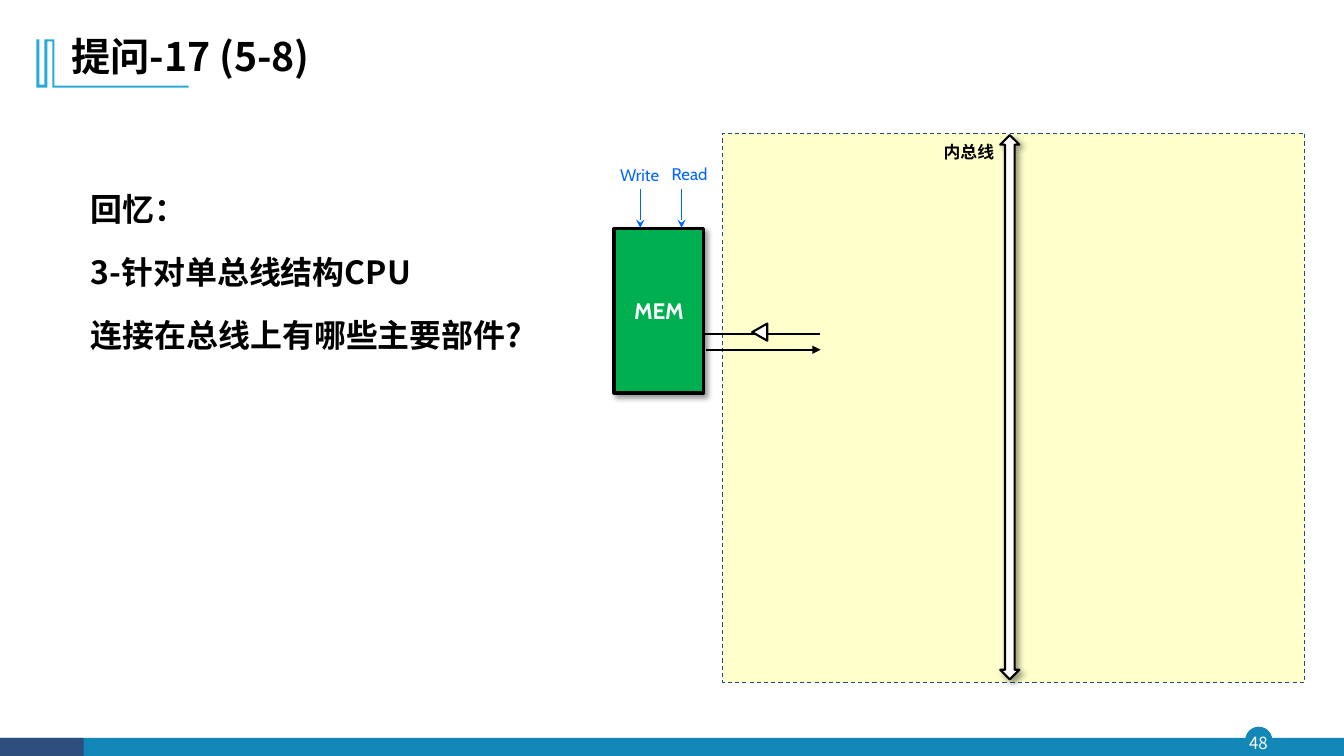
import pptx
import pptx.util
import pptx.dml.color
import pptx.enum.dml
import pptx.enum.shapes
import pptx.enum.text
import pptx.oxml
import pptx.oxml.ns
import lxml.etree

COLUMNS, ROWS = 1333, 750
CELL = pptx.util.Inches(0.01)
CJK, LATIN = "Noto Sans CJK SC", "Cabin"
BLACK, WHITE, TEAL, BLUE = "000000", "FFFFFF", "1387B7", "0066FF"
SHAPES = pptx.enum.shapes.MSO_SHAPE
ALIGN = pptx.enum.text.PP_ALIGN
ANCHOR = pptx.enum.text.MSO_ANCHOR

TITLE = "提问-17 (5-8)"
QUESTIONS = ["回忆：", "3-针对单总线结构CPU", "连接在总线上有哪些主要部件?"]
PAGE_NUMBER = "48"
FOOTER = [
    (SHAPES.OVAL, (1235, 721, 27, 27), TEAL),
    (SHAPES.RECTANGLE, (1, 732, 1332, 19), TEAL),
    (SHAPES.RECTANGLE, (0, 732, 83, 19), "2E4E7E"),
]
BRACKET = [(54, 39), (54, 85), (187, 85), (187, 87), (52, 87), (52, 41), (47, 41), (47, 87),
           (36, 87), (36, 39), (39, 39), (39, 84), (44, 84), (44, 39)]
CPU = (717, 132, 577, 545)
BUS = (992, 134, 19, 540)
MEMORY = (609, 227, 89, 163)
SIGNALS = [("Write", (608, 158, 53, 29), 635), ("Read", (661, 158, 46, 30), 676)]
SIGNAL_ROWS = (188, 226)
DATA_IN = ((813, 331), (698, 331))
DATA_OUT = ((700, 347), (814, 347))
BUFFER = (745, 322, 17, 15)


def cells(values):
    return [round(value * CELL) for value in values]


def color(value):
    return pptx.dml.color.RGBColor.from_string(value)


def add_child(parent, tag, **attributes):
    child = lxml.etree.SubElement(parent, pptx.oxml.ns.qn(tag))
    for name, value in attributes.items():
        child.set(name, str(value))
    return child


def write(shape, lines, size, font=CJK, fill=BLACK, bold=False, align=ALIGN.LEFT,
          anchor=ANCHOR.TOP, inset=(10, 5), spacing=1.0, gap=0, level=0, indent=0, wrap=True):
    frame = shape.text_frame
    frame.word_wrap = wrap
    frame.auto_size = pptx.enum.text.MSO_AUTO_SIZE.NONE
    frame.vertical_anchor = anchor
    frame.margin_left = frame.margin_right = inset[0] * CELL
    frame.margin_top = frame.margin_bottom = inset[1] * CELL
    frame.text = "\n".join(lines)
    for index, paragraph in enumerate(frame.paragraphs):
        paragraph.level = level
        paragraph.alignment = align
        paragraph.line_spacing = spacing
        paragraph.space_before = pptx.util.Pt(gap if index else 0)
        paragraph.space_after = pptx.util.Pt(gap)
        properties = paragraph._p.get_or_add_pPr()
        properties.set("marL", str(indent * CELL))
        properties.set("indent", "0")
        add_child(properties, "a:buNone")
        for run in paragraph.runs:
            run.font.size = pptx.util.Pt(size)
            run.font.bold = bold
            run.font.name = font
            run.font.color.rgb = color(fill)
            add_child(run._r.get_or_add_rPr(), "a:ea", typeface=CJK)


def paint(shape, fill, line=None, width=1.0, shadow=False):
    shape.shadow.inherit = False
    shape.fill.solid()
    shape.fill.fore_color.rgb = color(fill)
    if line:
        shape.line.color.rgb = color(line)
        shape.line.width = pptx.util.Pt(width)
    else:
        shape.line.fill.background()
    if shadow:
        effects = shape._element.spPr.find(pptx.oxml.ns.qn("a:effectLst"))
        outer = add_child(effects, "a:outerShdw", blurRad=pptx.util.Pt(4), dist=pptx.util.Pt(3),
                          dir=45 * 60000, algn="tl", rotWithShape=0)
        add_child(add_child(outer, "a:srgbClr", val=BLACK), "a:alpha", val=40000)
    return shape


def add_shape(slide, kind, box, fill, **style):
    return paint(slide.shapes.add_shape(kind, *cells(box)), fill, **style)


def add_text(slide, box, text, size, **style):
    write(slide.shapes.add_textbox(*cells(box)), [text], size, **style)


def add_line(slide, start, end, line, width, arrow=None):
    connector = slide.shapes.add_connector(
        pptx.enum.shapes.MSO_CONNECTOR.STRAIGHT, *cells(start + end))
    connector.line.color.rgb = color(line)
    connector.line.width = pptx.util.Pt(width)
    if arrow:
        add_child(connector.line._get_or_add_ln(), "a:tailEnd", type=arrow)
    add_child(connector._element.spPr, "a:effectLst")


def place(shape, box):
    shape.left, shape.top, shape.width, shape.height = cells(box)
    return shape


def add_frame(slide):
    for kind, box, fill in FOOTER:
        add_shape(slide, kind, box, fill)
    add_text(slide, (1232, 721, 32, 31), PAGE_NUMBER, 12, fill=WHITE, align=ALIGN.CENTER,
             anchor=ANCHOR.MIDDLE, inset=(0, 0))
    builder = slide.shapes.build_freeform(*BRACKET[0], scale=CELL)
    builder.add_line_segments(BRACKET[1:], close=True)
    paint(builder.convert_to_shape(), "28A9D6")


def add_diagram(slide):
    cpu = add_shape(slide, SHAPES.RECTANGLE, CPU, "FFFFCC", line="1F4E79", width=0.75)
    cpu.line.dash_style = pptx.enum.dml.MSO_LINE.DASH
    add_text(slide, (927, 136, 83, 35), "内总线", 12, font=LATIN, bold=True, inset=(9, 5))
    add_shape(slide, SHAPES.UP_DOWN_ARROW, BUS, WHITE, line=BLACK, width=1.5, shadow=True)
    memory = add_shape(slide, SHAPES.RECTANGLE, MEMORY, "00B050", line=BLACK, width=2.25,
                       shadow=True)
    write(memory, ["MEM"], 16, font=LATIN, fill=WHITE, bold=True, align=ALIGN.CENTER,
          anchor=ANCHOR.MIDDLE, inset=(9, 5))
    add_line(slide, *DATA_IN, BLACK, 1.5)
    buffer = add_shape(slide, SHAPES.ISOSCELES_TRIANGLE, BUFFER, WHITE, line=BLACK, width=1.5)
    buffer.rotation = 270
    add_line(slide, *DATA_OUT, BLACK, 1.5, arrow="triangle")
    for name, box, column in SIGNALS:
        add_text(slide, box, name, 12, font=LATIN, fill=BLUE, align=ALIGN.CENTER,
                 inset=(0, 5), wrap=False)
        top, bottom = SIGNAL_ROWS
        add_line(slide, (column, top), (column, bottom), BLUE, 1, arrow="stealth")


def main():
    presentation = pptx.Presentation()
    presentation.slide_width, presentation.slide_height = COLUMNS * CELL, ROWS * CELL
    slide = presentation.slides.add_slide(presentation.slide_layouts[1])
    write(place(slide.shapes.title, (61, 24, 1150, 68)), [TITLE], 28, bold=True,
          anchor=ANCHOR.MIDDLE, spacing=0.9)
    write(place(slide.placeholders[1], (14, 175, 558, 288)), QUESTIONS, 22.8, bold=True,
          spacing=1.22, gap=5.7, level=1, indent=66)
    add_frame(slide)
    add_diagram(slide)
    presentation.save("out.pptx")


if __name__ == "__main__":
    main()
